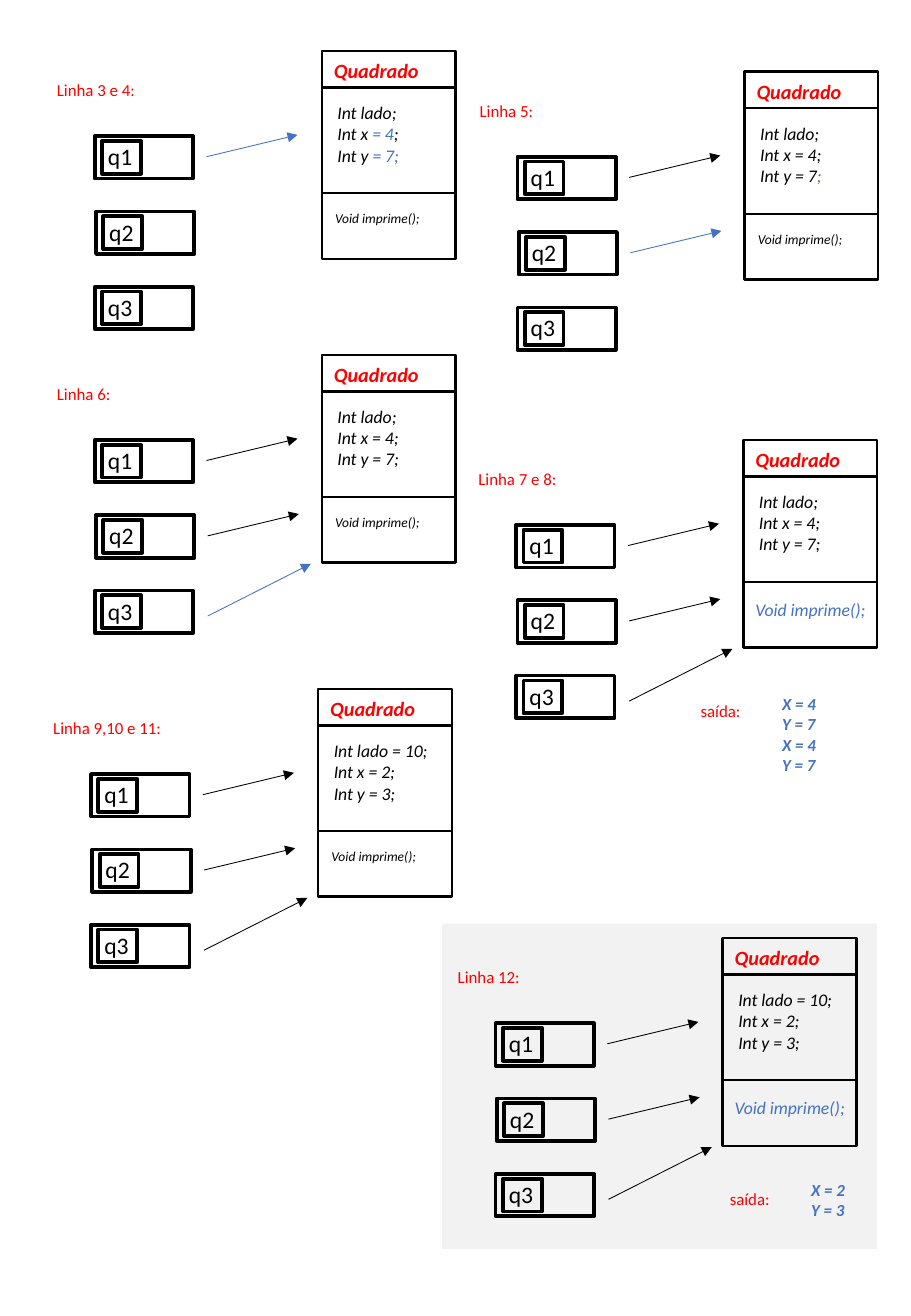
from dataclasses import dataclass

from lxml.etree import SubElement
from pptx import Presentation
from pptx.dml.color import RGBColor
from pptx.enum.shapes import MSO_CONNECTOR as Connector, MSO_SHAPE as Shape
from pptx.enum.text import MSO_AUTO_SIZE as AutoSize
from pptx.oxml.ns import qn
from pptx.util import Inches, Pt

COLORS = {"ink": "000000", "red": "FF0000", "blue": "4472C4", "shade": "F2F2F2"}
FONT = "Calibri"
ROW_STEP = 0.62


@dataclass(frozen=True)
class Span:
    text: str
    color: str = ""


@dataclass(frozen=True)
class Style:
    size: float
    color: str = "ink"
    bold: bool = False
    italic: bool = False


@dataclass(frozen=True)
class Arrow:
    start: tuple[float, float]
    end: tuple[float, float]


@dataclass(frozen=True)
class Output:
    label_left: float
    label_top: float
    left: float
    top: float
    lines: tuple[str, ...]


@dataclass(frozen=True)
class Panel:
    left: float
    top: float
    label: str
    label_width: float
    fields: tuple[tuple[Span, ...], ...]
    arrows: int = 3
    new_arrow: bool = False
    calls_method: bool = False
    output: Output | None = None


VARIABLE = Style(14)
LABEL = Style(10, "red")
CLASS_NAME = Style(12, "red", bold=True, italic=True)
FIELDS = Style(10.5, italic=True)
METHOD = Style(8, italic=True)
CALLED_METHOD = Style(10.5, "blue", italic=True)
RESULT = Style(10, "blue", bold=True, italic=True)

ARROWS = (
    Arrow((-0.95, 0.87), (-0.2, 0.69)),
    Arrow((-0.94, 1.49), (-0.19, 1.31)),
    Arrow((-0.94, 2.15), (-0.09, 1.72)),
)


def plain(*lines: str) -> tuple[tuple[Span, ...], ...]:
    return tuple((Span(line),) for line in lines)


FIRST_VALUES = plain("Int lado;", "Int x = 4;", "Int y = 7;")
LAST_VALUES = plain("Int lado = 10;", "Int x = 2;", "Int y = 3;")
NEW_VALUES = (
    (Span("Int lado;"),),
    (Span("Int x "), Span("= 4", "blue"), Span(";")),
    (Span("Int y "), Span("= 7;", "blue")),
)
SHARED_VALUES = FIRST_VALUES[:2] + ((Span("Int y = 7"), Span(";", "blue")),)

PANELS = (
    Panel(2.65, 0.42, "Linha 3 e 4:", 0.85, NEW_VALUES, 1, new_arrow=True),
    Panel(6.13, 0.59, "Linha 5:", 0.65, SHARED_VALUES, 2, new_arrow=True),
    Panel(2.65, 2.92, "Linha 6:", 0.65, FIRST_VALUES, new_arrow=True),
    Panel(6.12, 3.62, "Linha 7 e 8:", 0.85, FIRST_VALUES, calls_method=True,
          output=Output(5.67, 5.72, 6.34, 5.66, ("X = 4", "Y = 7", "X = 4", "Y = 7"))),
    Panel(2.62, 5.67, "Linha 9,10 e 11:", 1.1, LAST_VALUES),
    Panel(5.95, 7.72, "Linha 12:", 0.72, LAST_VALUES, calls_method=True,
          output=Output(5.91, 9.73, 6.58, 9.66, ("X = 2", "Y = 3"))),
)


def rgb(name: str) -> RGBColor:
    return RGBColor.from_string(COLORS[name])


def add_box(page, left: float, top: float, width: float, height: float,
            line_width: float = 0, fill: str = "") -> None:
    box = page.shapes.add_shape(Shape.RECTANGLE, Inches(left), Inches(top),
                                Inches(width), Inches(height))
    box.shadow.inherit = False
    if fill:
        box.fill.solid()
        box.fill.fore_color.rgb = rgb(fill)
    else:
        box.fill.background()
    if line_width:
        box.line.color.rgb = rgb("ink")
        box.line.width = Pt(line_width)
    else:
        box.line.fill.background()


def add_text(page, left: float, top: float, width: float, height: float,
             lines: tuple[tuple[Span, ...], ...], style: Style) -> None:
    box = page.shapes.add_textbox(Inches(left), Inches(top), Inches(width), Inches(height))
    frame = box.text_frame
    frame.word_wrap = False
    frame.auto_size = AutoSize.SHAPE_TO_FIT_TEXT
    for index, line in enumerate(lines):
        para = frame.add_paragraph() if index else frame.paragraphs[0]
        para.font.name = FONT
        para.font.size = Pt(style.size)
        para.font.bold = style.bold
        para.font.italic = style.italic
        para.font.color.rgb = rgb(style.color)
        for span in line:
            run = para.add_run()
            run.text = span.text
            if span.color:
                run.font.color.rgb = rgb(span.color)


def add_arrow(page, left: float, top: float, arrow: Arrow, color: str) -> None:
    (start_x, start_y), (end_x, end_y) = arrow.start, arrow.end
    connector = page.shapes.add_connector(
        Connector.STRAIGHT, Inches(left + start_x), Inches(top + start_y),
        Inches(left + end_x), Inches(top + end_y))
    connector.line.color.rgb = rgb(color)
    connector.line.width = Pt(0.5)
    SubElement(connector.line._get_or_add_ln(), qn("a:tailEnd"), type="triangle")
    SubElement(connector._element.spPr, qn("a:effectLst"))


def add_variable(page, left: float, top: float, name: str) -> None:
    add_box(page, left, top, 0.81, 0.35, 2.25)
    add_box(page, left + 0.06, top + 0.04, 0.32, 0.27, 2.25)
    add_text(page, left + 0.01, top, 0.41, 0.34, plain(name), VARIABLE)


def add_class(page, panel: Panel) -> None:
    left, top = panel.left, panel.top
    add_box(page, left, top, 1.1, 1.71, 1.5)
    add_box(page, left, top + 0.3, 1.1, 0.87, 1.5)
    add_text(page, left, top + 0.01, 0.95, 0.3, plain("Quadrado"), CLASS_NAME)
    fields_width = 0.99 if panel.fields == LAST_VALUES else 0.71
    add_text(page, left + 0.03, top + 0.37, fields_width, 0.63, panel.fields, FIELDS)
    method = plain("Void imprime();")
    if panel.calls_method:
        add_text(page, left, top + 1.26, 1.12, 0.28, method, CALLED_METHOD)
    else:
        add_text(page, left + 0.01, top + 1.26, 0.99, 0.24, method, METHOD)


def add_panel(page, panel: Panel) -> None:
    left, top = panel.left, panel.top
    add_text(page, left - 2.28, top + 0.19, panel.label_width, 0.27, plain(panel.label), LABEL)
    for row, name in enumerate(("q1", "q2", "q3")):
        offset = 0.01 if row == 1 else 0
        add_variable(page, left - 1.87 + offset, top + 0.7 + row * ROW_STEP, name)
    add_class(page, panel)
    for index, arrow in enumerate(ARROWS[:panel.arrows], start=1):
        is_new = panel.new_arrow and index == panel.arrows
        add_arrow(page, left, top, arrow, "blue" if is_new else "ink")
    if panel.output:
        output = panel.output
        add_text(page, output.label_left, output.label_top, 0.53, 0.27, plain("saída:"), LABEL)
        height = 0.1 + 0.17 * len(output.lines)
        add_text(page, output.left, output.top, 0.48, height, plain(*output.lines), RESULT)


def main() -> None:
    deck = Presentation()
    deck.slide_width, deck.slide_height = Inches(7.5), Inches(10.83)
    page = deck.slides.add_slide(deck.slide_layouts[6])
    add_box(page, 3.64, 7.6, 3.58, 2.68, fill="shade")
    for panel in PANELS:
        add_panel(page, panel)
    deck.save("out.pptx")


if __name__ == "__main__":
    main()
